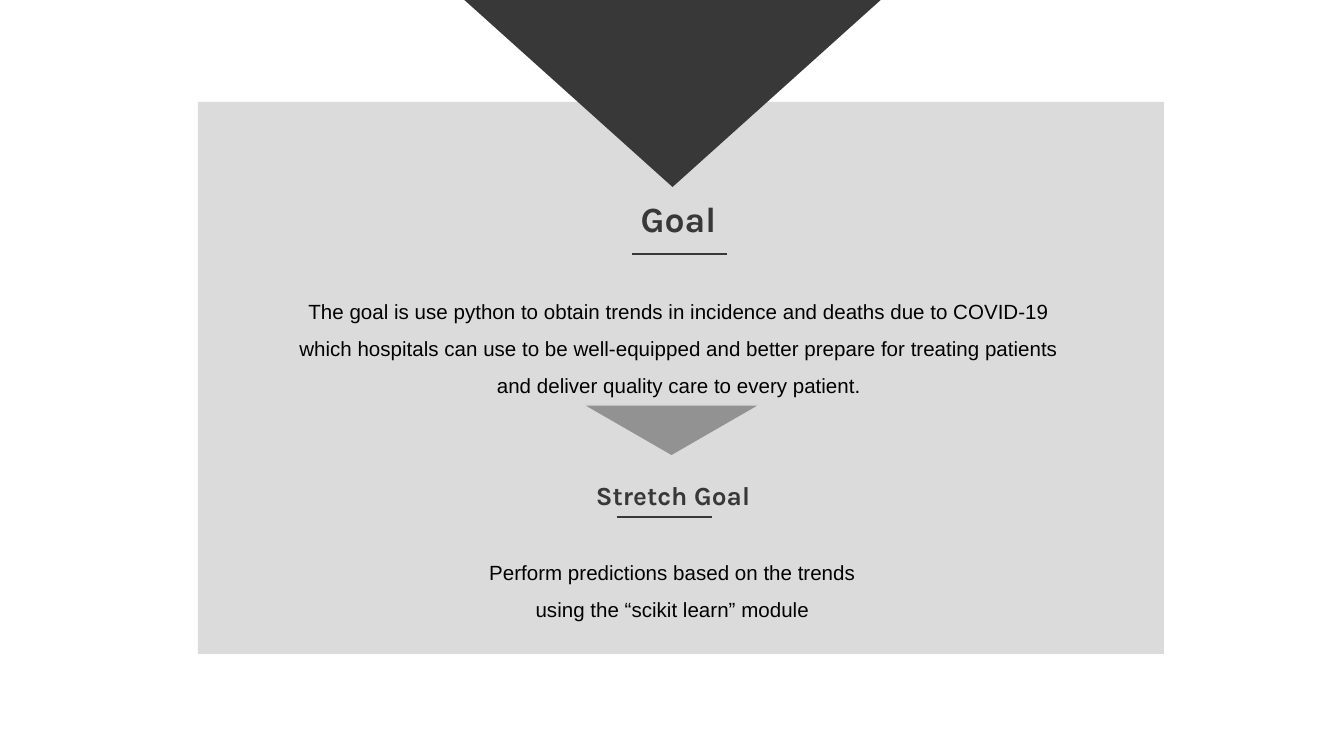
from lxml import etree
from pptx import Presentation
from pptx.dml.color import RGBColor
from pptx.enum.shapes import MSO_CONNECTOR, MSO_SHAPE
from pptx.enum.text import MSO_ANCHOR, PP_ALIGN
from pptx.oxml.ns import qn
from pptx.util import Emu, Pt

RECTANGLE = MSO_SHAPE.RECTANGLE
TRIANGLE = MSO_SHAPE.ISOSCELES_TRIANGLE
STRAIGHT = MSO_CONNECTOR.STRAIGHT
CENTER = PP_ALIGN.CENTER
TOP = MSO_ANCHOR.TOP

EMU_PER_PX = 914400 / 134.4
TEXT_INSET = 13
RULE_WIDTH = 95

COLORS = {
    "panel": "DBDBDB",
    "dark": "383838",
    "arrow": "929292",
    "body": "000000",
}

HEADING = {"name": "Karla", "bold": True}
BODY = {"name": "Arial", "bold": False, "size": Pt(11)}


def px(length):
    """Turn a length in px into EMU."""
    return Emu(round(length * EMU_PER_PX))


def color(key):
    """Return the named palette color."""
    return RGBColor.from_string(COLORS[key])


def add_block(slide, kind, box, fill, rotation=0, outline=None):
    """Add a filled preset shape, outlined only if a color is given."""
    shape = slide.shapes.add_shape(kind, *map(px, box))
    shape.shadow.inherit = False
    shape.rotation = rotation
    shape.fill.solid()
    shape.fill.fore_color.rgb = color(fill)
    if outline:
        shape.line.color.rgb = color(outline)
        shape.line.width = Pt(0.75)
    else:
        shape.line.fill.background()


def add_text(slide, box, text, font_format, font_color, line_spacing=1.0):
    """Add a wrapped, centered text box with one paragraph."""
    frame = slide.shapes.add_textbox(*map(px, box)).text_frame
    frame.word_wrap = True
    frame.vertical_anchor = TOP
    for side in ("left", "top", "right", "bottom"):
        setattr(frame, f"margin_{side}", px(TEXT_INSET))
    paragraph = frame.paragraphs[0]
    paragraph.alignment = CENTER
    paragraph.line_spacing = line_spacing
    run = paragraph.add_run()
    run.text = text
    for attribute, value in font_format.items():
        setattr(run.font, attribute, value)
    run.font.color.rgb = color(font_color)


def add_rule(slide, left, top):
    """Add the short rule under a heading."""
    ends = (left, top, left + RULE_WIDTH, top)
    connector = slide.shapes.add_connector(STRAIGHT, *map(px, ends))
    connector.line.color.rgb = color("dark")
    connector.line.width = Pt(1.5)
    etree.SubElement(connector._element.spPr, qn("a:effectLst"))


def add_section(slide, heading, heading_box, heading_size, rule, text, text_box):
    """Add a heading, its rule and the text below it."""
    add_text(slide, text_box, text, BODY, "body", 1.5)
    add_text(slide, heading_box, heading, HEADING | {"size": Pt(heading_size)}, "dark")
    add_rule(slide, *rule)


def main():
    """Build and save the goal slide."""
    presentation = Presentation()
    presentation.slide_width = px(1344)
    presentation.slide_height = px(756)
    slide = presentation.slides.add_slide(presentation.slide_layouts[6])

    add_block(slide, RECTANGLE, (198, 102, 966, 552), "panel")
    add_block(slide, TRIANGLE, (461, -3, 423, 190), "dark", rotation=180)
    add_section(
        slide, "Goal", (477, 184, 403, 90), 19, (632, 254),
        "The goal is use python to obtain trends in incidence and deaths due to "
        "COVID-19 which hospitals can use to be well-equipped and better prepare "
        "for treating patients and deliver quality care to every patient.",
        (267, 274, 824, 130),
    )
    add_block(slide, TRIANGLE, (583, 405, 177, 51), "arrow", 180, "panel")
    add_section(
        slide, "Stretch Goal", (538, 466, 270, 59), 14, (617, 517),
        "Perform predictions based on the trends using the “scikit learn” module",
        (452, 535, 441, 90),
    )
    presentation.save("out.pptx")


if __name__ == "__main__":
    main()
